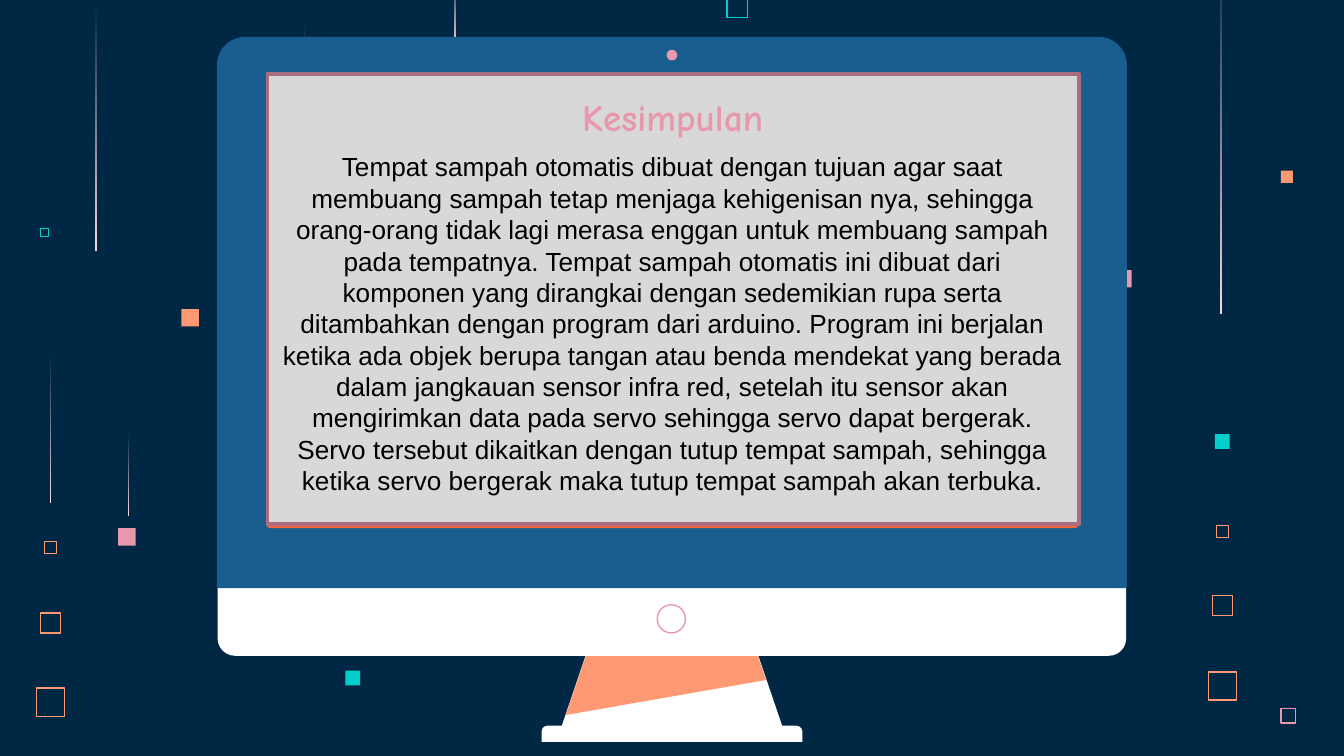
from typing import NamedTuple, Optional

from pptx import Presentation
from pptx.dml.color import RGBColor
from pptx.enum.shapes import MSO_SHAPE as Preset
from pptx.enum.text import MSO_ANCHOR as Anchor, MSO_AUTO_SIZE as AutoSize, PP_ALIGN as Align
from pptx.util import Inches, Pt

COLORS = {
    "navy": "002845",
    "blue": "1A5E8F",
    "white": "FFFFFF",
    "orange": "FF9973",
    "pink": "E898AC",
    "teal": "00CFCC",
    "streak": "FFD6E1",
    "red": "F46440",
    "panel": "D8D8D8",
    "frame": "A96E7D",
    "black": "000000",
}
STREAK_WIDTH = 0.01
BODY = (
    "Tempat sampah otomatis dibuat dengan tujuan agar saat membuang sampah tetap menjaga "
    "kehigenisan nya, sehingga orang-orang tidak lagi merasa enggan untuk membuang sampah "
    "pada tempatnya. Tempat sampah otomatis ini dibuat dari komponen yang dirangkai dengan "
    "sedemikian rupa serta ditambahkan dengan program dari arduino. Program ini berjalan "
    "ketika ada objek berupa tangan atau benda mendekat yang berada dalam jangkauan sensor "
    "infra red, setelah itu sensor akan mengirimkan data pada servo sehingga servo dapat "
    "bergerak. Servo tersebut dikaitkan dengan tutup tempat sampah, sehingga ketika servo "
    "bergerak maka tutup tempat sampah akan terbuka."
)


class Square(NamedTuple):
    left: float
    top: float
    side: float
    color: str
    filled: bool = False


class Streak(NamedTuple):
    left: float
    top: float
    height: float


class Part(NamedTuple):
    """A piece of the monitor, with an optional corner or slant adjustment."""
    preset: Preset
    left: float
    top: float
    width: float
    height: float
    fill: Optional[str] = None
    line: Optional[str] = None
    line_width: float = 0.75
    adjustment: Optional[float] = None


class Label(NamedTuple):
    text: str
    left: float
    top: float
    width: float
    height: float
    font: str
    size: int
    color: str
    anchor: Anchor
    bold: bool = False


SQUARES = [
    Square(1.77, 3.16, 0.13, "pink", True),
    Square(1.35, 2.30, 0.13, "orange", True),
    Square(9.53, 5.27, 0.11, "pink"),
    Square(0.30, 1.70, 0.06, "teal"),
    Square(9.04, 3.23, 0.11, "teal", True),
    Square(8.99, 5.00, 0.21, "orange"),
    Square(9.02, 4.43, 0.15, "orange"),
    Square(9.05, 3.91, 0.09, "orange"),
    Square(9.53, 1.27, 0.09, "orange", True),
    Square(0.88, 3.93, 0.13, "pink", True),
    Square(0.27, 5.12, 0.21, "orange"),
    Square(0.30, 4.56, 0.15, "orange"),
    Square(0.33, 4.03, 0.09, "orange"),
    Square(8.29, 2.01, 0.13, "pink", True),
    Square(5.41, -0.02, 0.15, "teal"),
    Square(2.57, 4.99, 0.11, "teal", True),
]
STREAKS = [
    Streak(0.95, 3.23, 0.61),
    Streak(0.37, 2.63, 1.11),
    Streak(9.08, -0.42, 2.76),
    Streak(0.71, 0.02, 1.85),
    Streak(2.26, 0.19, 0.76),
    Streak(3.38, -0.24, 0.61),
]
STAND = Part(Preset.TRAPEZOID, 4.16, 4.73, 1.68, 0.73, "white", adjustment=0.34)
STAND_SHADE = [(4.41, 4.73), (4.21, 5.32), (5.70, 5.06), (5.59, 4.73)]
MONITOR = [
    Part(Preset.ROUND_2_SAME_RECTANGLE, 4.03, 5.40, 1.94, 0.12, "white", adjustment=0.36),
    Part(Preset.ROUNDED_RECTANGLE, 1.62, 0.58, 6.76, 4.30, "white", adjustment=0.03),
    Part(Preset.ROUND_2_SAME_RECTANGLE, 1.62, 0.28, 6.76, 4.09, "blue", "blue", adjustment=0.05),
    Part(Preset.ROUNDED_RECTANGLE, 1.98, 0.57, 6.05, 3.36, "red", adjustment=0.01),
    Part(Preset.OVAL, 4.96, 0.37, 0.08, 0.08, "pink"),
    Part(Preset.OVAL, 4.89, 4.50, 0.21, 0.21, None, "pink"),
    Part(Preset.RECTANGLE, 1.99, 0.55, 6.04, 3.35, "panel", "frame", 2),
]
TITLE = Label("Kesimpulan", 2.89, 0.60, 4.23, 0.60, "Comic Neue", 20, "pink",
              Anchor.TOP, bold=True)
SUBTITLE = Label(BODY, 1.98, 0.85, 6.05, 2.94, "Arial", 14, "black", Anchor.BOTTOM)


def rgb(name: str) -> RGBColor:
    return RGBColor.from_string(COLORS[name])


def paint(shape, fill: Optional[str], line: Optional[str] = None, width: float = 0.75) -> None:
    shape.shadow.inherit = False
    if fill:
        shape.fill.solid()
        shape.fill.fore_color.rgb = rgb(fill)
    else:
        shape.fill.background()
    if line:
        shape.line.color.rgb = rgb(line)
        shape.line.width = Pt(width)
    else:
        shape.line.fill.background()


def draw_part(slide, part: Part) -> None:
    box = map(Inches, (part.left, part.top, part.width, part.height))
    shape = slide.shapes.add_shape(part.preset, *box)
    if part.adjustment is not None:
        shape.adjustments[0] = part.adjustment
    paint(shape, part.fill, part.line, part.line_width)


def draw_square(slide, square: Square) -> None:
    fill, line = (square.color, None) if square.filled else (None, square.color)
    draw_part(slide, Part(Preset.RECTANGLE, square.left, square.top,
                          square.side, square.side, fill, line))


def draw_streak(slide, streak: Streak) -> None:
    """Draw a thin strip that fades into the background at its top."""
    box = map(Inches, (streak.left, streak.top, STREAK_WIDTH, streak.height))
    shape = slide.shapes.add_shape(Preset.RECTANGLE, *box)
    paint(shape, None)
    shape.fill.gradient()
    shape.fill.gradient_angle = 270
    for stop, color in zip(shape.fill.gradient_stops, ("navy", "streak")):
        stop.color.rgb = rgb(color)


def draw_stand_shade(slide) -> None:
    points = [(Inches(x), Inches(y)) for x, y in STAND_SHADE]
    builder = slide.shapes.build_freeform(*points[0])
    builder.add_line_segments(points[1:], close=True)
    paint(builder.convert_to_shape(), "orange")


def fill_placeholder(shape, label: Label) -> None:
    """Place and format a placeholder, and bring it to the front."""
    shape.left, shape.top, shape.width, shape.height = map(
        Inches, (label.left, label.top, label.width, label.height))
    shape.element.getparent().append(shape.element)
    frame = shape.text_frame
    frame.word_wrap = True
    frame.auto_size = AutoSize.NONE
    frame.vertical_anchor = label.anchor
    frame.margin_left = frame.margin_right = Inches(0.1)
    frame.margin_top = frame.margin_bottom = Inches(0.1)
    paragraph = frame.paragraphs[0]
    paragraph.alignment = Align.CENTER
    paragraph.space_before = Pt(0)
    paragraph.line_spacing = 1.0
    run = paragraph.add_run()
    run.text = label.text
    run.font.name = label.font
    run.font.size = Pt(label.size)
    run.font.bold = label.bold
    run.font.color.rgb = rgb(label.color)


def main() -> None:
    presentation = Presentation()
    presentation.slide_width = Inches(10)
    presentation.slide_height = presentation.slide_width * 9 // 16
    slide = presentation.slides.add_slide(presentation.slide_layouts[0])
    slide.background.fill.solid()
    slide.background.fill.fore_color.rgb = rgb("navy")

    for square in SQUARES:
        draw_square(slide, square)
    for streak in STREAKS:
        draw_streak(slide, streak)
    draw_part(slide, STAND)
    draw_stand_shade(slide)
    for part in MONITOR:
        draw_part(slide, part)
    fill_placeholder(slide.placeholders[1], SUBTITLE)
    fill_placeholder(slide.shapes.title, TITLE)

    presentation.save("out.pptx")


if __name__ == "__main__":
    main()
